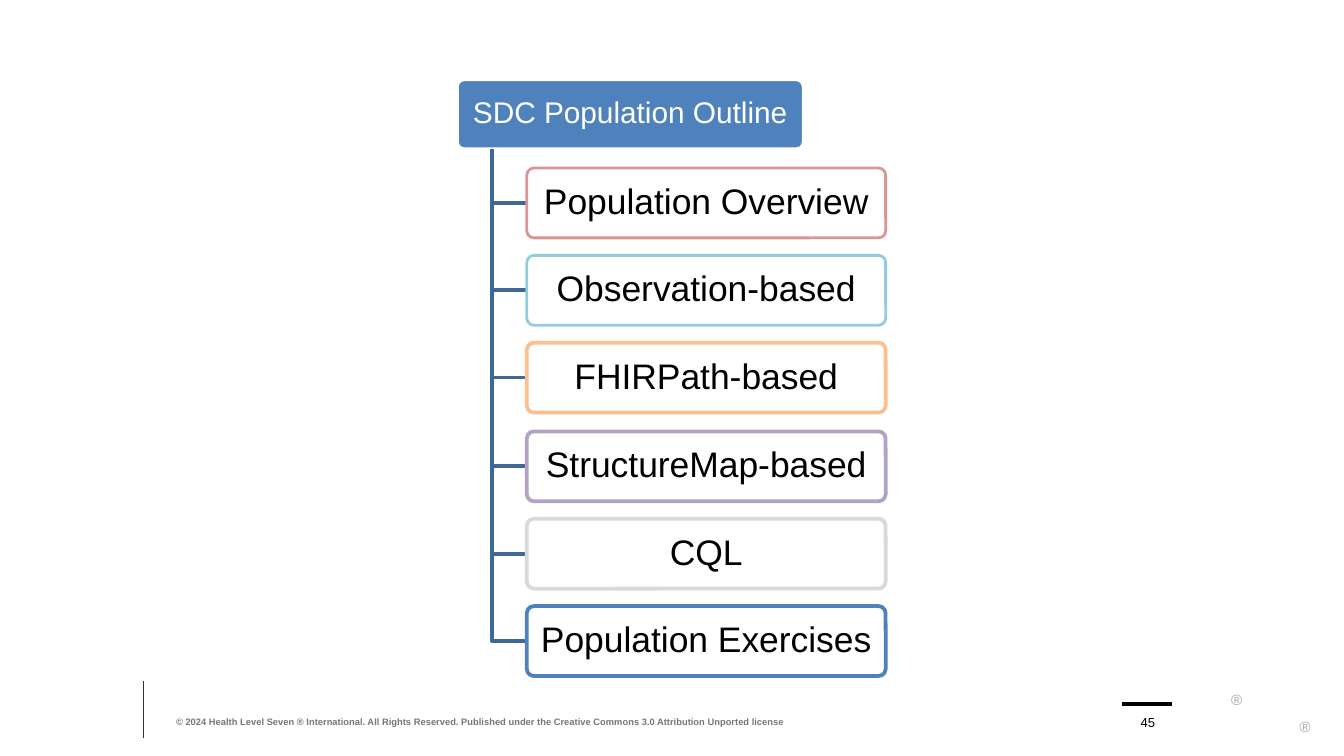
from lxml.etree import SubElement
from pptx import Presentation
from pptx.dml.color import RGBColor
from pptx.enum.shapes import MSO_CONNECTOR, MSO_SHAPE
from pptx.enum.text import MSO_ANCHOR, PP_ALIGN
from pptx.oxml.ns import qn
from pptx.util import Pt

PX = 9144  # 100 px to the inch
SLIDE_WIDTH = 1000
WHITE = RGBColor(0xFF, 0xFF, 0xFF)
BLACK = RGBColor(0, 0, 0)
BLUE = RGBColor(0x4F, 0x81, 0xBD)
BRANCH_BLUE = RGBColor(0x3F, 0x67, 0x97)
RULE_BROWN = RGBColor(0x3D, 0x30, 0x29)
MARK_GRAY = RGBColor(0xA6, 0xA6, 0xA6)
FOOTER_GRAY = RGBColor(0x74, 0x76, 0x79)

HEADING = "SDC Population Outline"
TOPICS = [  # text, border colour, border width in points
    ("Population Overview", RGBColor(0xD9, 0x96, 0x94), 1.5),
    ("Observation-based", RGBColor(0x93, 0xCD, 0xDD), 1.5),
    ("FHIRPath-based", RGBColor(0xFA, 0xC0, 0x90), 2),
    ("StructureMap-based", RGBColor(0xB3, 0xA2, 0xC7), 2),
    ("CQL", RGBColor(0xD9, 0xD9, 0xD9), 2),
    ("Population Exercises", BLUE, 2),
]
COPYRIGHT = ("© 2024 Health Level Seven ® International. All Rights Reserved. "
             "Published under the Creative Commons 3.0 Attribution Unported license")
PAGE_NUMBER = "45"
REGISTERED_MARKS = [(916, 514), (967, 534)]
RULES = [  # start, end, colour, width in points
    ((107, 507), (107, 549), RULE_BROWN, 0.5),
    ((835, 524), (872, 524), BLACK, 2),
]

HEADING_BOX = (340, 59, 258, 52)
TRUNK_X, TRUNK_TOP = 366, 111
TOPIC_LEFT, TOPIC_TOP, TOPIC_WIDTH, TOPIC_HEIGHT = 392, 125, 267, 52
TOPIC_PITCH = 65.2


def emu(lengths):
    return [length * PX for length in lengths]


def write(shape, text, size, color, bold=False, align=PP_ALIGN.LEFT,
          anchor=MSO_ANCHOR.BOTTOM, inset=0, spacing=None, wrap=True):
    frame = shape.text_frame
    frame.text = text
    frame.word_wrap = wrap
    frame.vertical_anchor = anchor
    frame.margin_left = frame.margin_right = inset * PX
    frame.margin_top = frame.margin_bottom = inset * PX
    paragraph = frame.paragraphs[0]
    paragraph.alignment = align
    if spacing:
        paragraph.line_spacing = spacing
    font = paragraph.runs[0].font
    font.name, font.size, font.bold = "Arial", Pt(size), bold
    font.color.rgb = color


def add_label(slide, box, text, size, color, **style):
    write(slide.shapes.add_textbox(*emu(box)), text, size, color, **style)


def add_rounded_box(slide, box, fill, border, width):
    shape = slide.shapes.add_shape(MSO_SHAPE.ROUNDED_RECTANGLE, *emu(box))
    shape.adjustments[0] = 0.1
    shape.shadow.inherit = False
    shape.fill.solid()
    shape.fill.fore_color.rgb = fill
    shape.line.color.rgb = border
    shape.line.width = Pt(width)
    return shape


def add_branch(slide, y):
    """Draw the elbow from the heading down to height y and across to a topic."""
    builder = slide.shapes.build_freeform(TRUNK_X, TRUNK_TOP, scale=PX)
    builder.add_line_segments([(TRUNK_X, y), (TOPIC_LEFT, y)], close=False)
    branch = builder.convert_to_shape()
    branch.shadow.inherit = False
    branch.fill.background()
    branch.line.color.rgb = BRANCH_BLUE
    branch.line.width = Pt(2)


def add_rule(slide, start, end, color, width):
    rule = slide.shapes.add_connector(MSO_CONNECTOR.STRAIGHT, *emu(start + end))
    rule.line.color.rgb = color
    rule.line.width = Pt(width)
    SubElement(rule.element.spPr, qn("a:effectLst"))


def add_heading(slide):
    add_rounded_box(slide, HEADING_BOX, BLUE, WHITE, 2)
    title = slide.shapes.title
    title.left, title.top, title.width, title.height = emu(HEADING_BOX)
    write(title, HEADING, 16, WHITE, align=PP_ALIGN.CENTER,
          anchor=MSO_ANCHOR.MIDDLE, inset=3, spacing=0.9)
    title.element.getparent().append(title.element)  # in front of its box


def add_topic(slide, index, text, border, width):
    top = TOPIC_TOP + round(index * TOPIC_PITCH)
    add_branch(slide, top + TOPIC_HEIGHT // 2)
    box = (TOPIC_LEFT, top, TOPIC_WIDTH, TOPIC_HEIGHT)
    topic = add_rounded_box(slide, box, WHITE, border, width)
    fill_color = topic.element.spPr.find(qn("a:solidFill"))[0]
    SubElement(fill_color, qn("a:alpha"), val="90000")
    write(topic, text, 19, BLACK, align=PP_ALIGN.CENTER,
          anchor=MSO_ANCHOR.MIDDLE, inset=4, spacing=0.9)


def main():
    deck = Presentation()
    deck.slide_width = SLIDE_WIDTH * PX
    deck.slide_height = deck.slide_width * 9 // 16
    slide = deck.slides.add_slide(deck.slide_layouts[5])  # title only

    for rule in RULES:
        add_rule(slide, *rule)
    for left, top in REGISTERED_MARKS:
        add_label(slide, (left, top, 11, 12), "®", 8, MARK_GRAY,
                  anchor=MSO_ANCHOR.TOP, wrap=False)
    add_label(slide, (131, 524, 495, 17), COPYRIGHT, 5, FOOTER_GRAY, bold=True)
    add_label(slide, (839, 524, 30, 19), PAGE_NUMBER, 7, BLACK,
              align=PP_ALIGN.CENTER)

    add_heading(slide)
    for index, topic in enumerate(TOPICS):
        add_topic(slide, index, *topic)

    deck.save("out.pptx")


if __name__ == "__main__":
    main()
